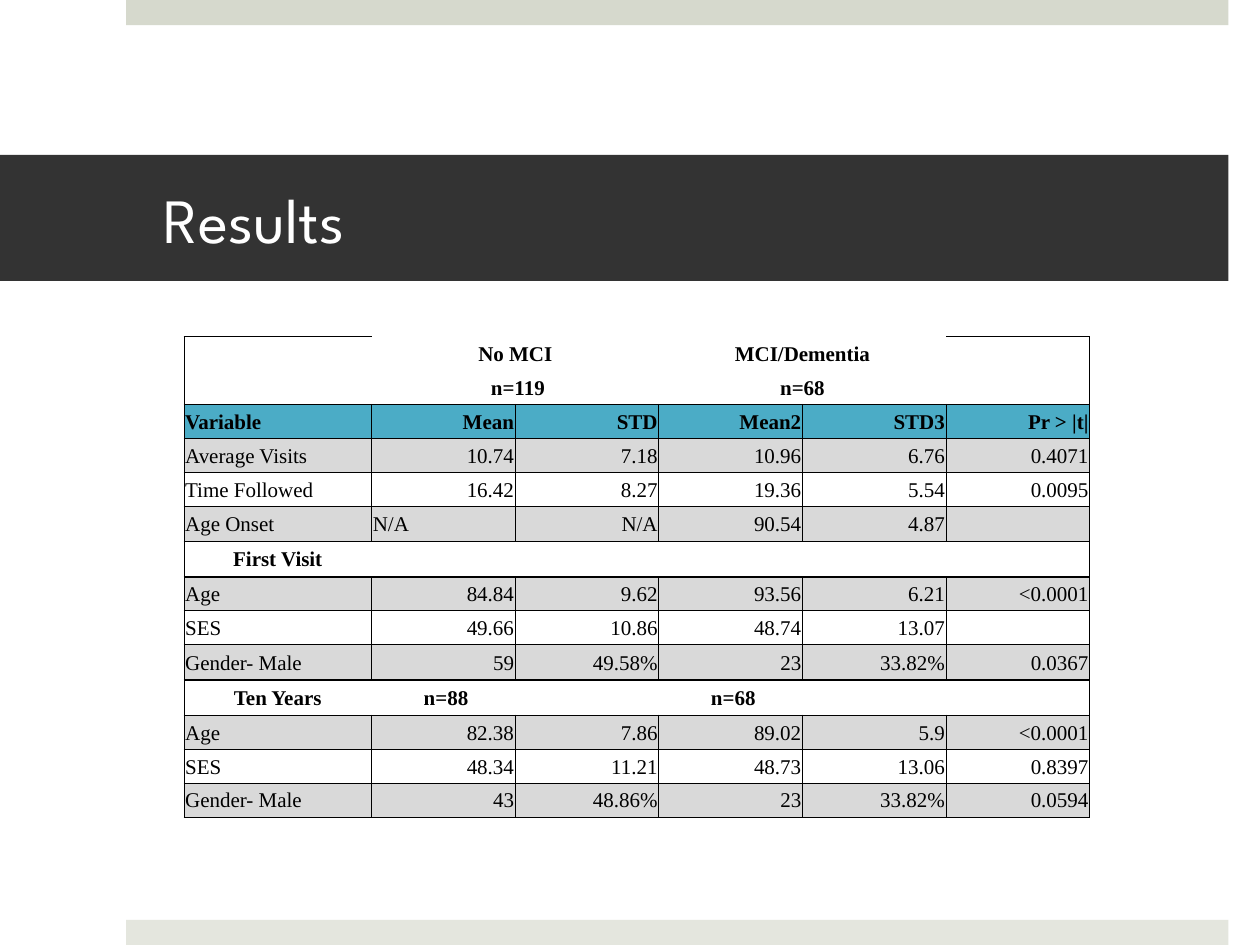
from lxml import etree
from pptx import Presentation
from pptx import util as u
from pptx.dml.color import RGBColor
from pptx.enum import shapes, text
from pptx.oxml.ns import qn

Inches, Pt = u.Inches, u.Pt
LEFT, CENTER, RIGHT = text.PP_ALIGN.LEFT, text.PP_ALIGN.CENTER, text.PP_ALIGN.RIGHT


def color(hex_value):
    return RGBColor.from_string(hex_value)


def set_borders(cell, widths):
    """Draw black cell borders; widths are points for L, R, T, B, and 0 means none."""
    properties = cell._tc.get_or_add_tcPr()
    for index, (side, width) in enumerate(zip("LRTB", widths)):
        line = etree.Element(qn(f"a:ln{side}"), w=str(int(Pt(width))))
        if width:
            fill = etree.SubElement(line, qn("a:solidFill"))
            etree.SubElement(fill, qn("a:srgbClr"), val="000000")
        else:
            etree.SubElement(line, qn("a:noFill"))
        properties.insert(index, line)


presentation = Presentation()
presentation.slide_width = Inches(10)
presentation.slide_height = Inches(7.5)
slide = presentation.slides.add_slide(presentation.slide_layouts[5])

# Bands at the top and bottom edges
for top, fill in ((0, "D6D9CD"), (7.3, "E4E6DE")):
    band = slide.shapes.add_shape(
        shapes.MSO_SHAPE.RECTANGLE, Inches(1), Inches(top), Inches(8.75), Inches(0.2))
    band.shadow.inherit = False
    band.fill.solid()
    band.fill.fore_color.rgb = color(fill)
    band.line.fill.background()

# Title bar
title = slide.shapes.title
title.left, title.top = Inches(0), Inches(1.23)
title.width, title.height = Inches(9.75), Inches(1)
title.fill.solid()
title.fill.fore_color.rgb = color("333333")
frame = title.text_frame
frame.text = "Results"
frame.auto_size = text.MSO_AUTO_SIZE.NONE
frame.vertical_anchor = text.MSO_ANCHOR.MIDDLE
frame.margin_left, frame.margin_right = Inches(1.3), Inches(0.3)
frame.margin_top = frame.margin_bottom = Inches(0.05)
frame.paragraphs[0].alignment = LEFT
font = frame.paragraphs[0].runs[0].font
font.name, font.size = "League Spartan", Pt(36)
font.color.rgb = color("FFFFFF")

# Results table
rows = [
    ["", "No MCI", "", "MCI/Dementia", "", ""],
    ["", " n=119", "", "n=68", "", ""],
    ["Variable", "Mean", "STD", "Mean2", "STD3", "Pr > |t|"],
    ["Average Visits", "10.74", "7.18", "10.96", "6.76", "0.4071"],
    ["Time Followed", "16.42", "8.27", "19.36", "5.54", "0.0095"],
    ["Age Onset", "N/A", "N/A", "90.54", "4.87", ""],
    ["First Visit", "", "", "", "", ""],
    ["Age", "84.84", "9.62", "93.56", "6.21", "<0.0001"],
    ["SES", "49.66", "10.86", "48.74", "13.07", ""],
    ["Gender- Male", "59", "49.58%", "23", "33.82%", "0.0367"],
    ["Ten Years", " n=88", "", " n=68", "", ""],
    ["Age", "82.38", "7.86", "89.02", "5.9", "<0.0001"],
    ["SES", "48.34", "11.21", "48.73", "13.06", "0.8397"],
    ["Gender- Male", "43", "48.86%", "23", "33.82%", "0.0594"],
]
group_rows, header_row, section_rows = (0, 1), 2, (6, 10)
open_rows = group_rows + section_rows
last_column = len(rows[0]) - 1

table = slide.shapes.add_table(
    len(rows), len(rows[0]), Inches(1.46), Inches(2.67), Inches(7.17), Inches(3.87)).table
table.first_row = table.horz_banding = False
for column_index, column in enumerate(table.columns):
    column.width = Inches(1.14 if column_index else 1.49)

for row_index, values in enumerate(rows):
    near_section = [row_index + step in section_rows for step in (-1, 0, 1)]
    table.rows[row_index].height = Inches(0.28 if any(near_section[1:]) else 0.27)
    is_open = row_index in open_rows
    top_width = 1 if any(near_section[:2]) else 0.5
    bottom_width = 1 if any(near_section[1:]) else 0.5

    for column_index, value in enumerate(values):
        cell = table.cell(row_index, column_index)
        cell.text_frame.text = value
        cell.vertical_anchor = text.MSO_ANCHOR.MIDDLE
        cell.margin_left = cell.margin_right = cell.margin_top = Inches(0.01)
        cell.margin_bottom = 0

        paragraph = cell.text_frame.paragraphs[0]
        if is_open:
            paragraph.alignment = CENTER
        elif column_index == 0 or (row_index, column_index) == (5, 1):
            paragraph.alignment = LEFT
        else:
            paragraph.alignment = RIGHT
        for run in paragraph.runs:
            run.font.name, run.font.size = "Times New Roman", Pt(12)
            run.font.bold = is_open or row_index == header_row
            run.font.color.rgb = color("000000")
        if not value:  # keeps empty cells from stretching the row
            etree.SubElement(paragraph._p, qn("a:endParaRPr"), sz="1200")

        if row_index == header_row or (row_index > header_row and row_index % 2 and not is_open):
            cell.fill.solid()
            cell.fill.fore_color.rgb = color("4BACC6" if row_index == header_row else "D9D9D9")
        else:
            cell.fill.background()

        at_edge = column_index in (0, last_column)
        set_borders(cell, (
            0.5 if not is_open or column_index == 0 else 0,
            0.5 if not is_open or column_index == last_column else 0,
            0 if row_index == 1 or (row_index == 0 and not at_edge) else top_width,
            0 if row_index == 0 and not at_edge else bottom_width))

for column_index in (0, last_column):
    table.cell(0, column_index).merge(table.cell(1, column_index))
for row_index in group_rows:
    for column_index in (1, 3):
        table.cell(row_index, column_index).merge(table.cell(row_index, column_index + 1))

presentation.save("out.pptx")
